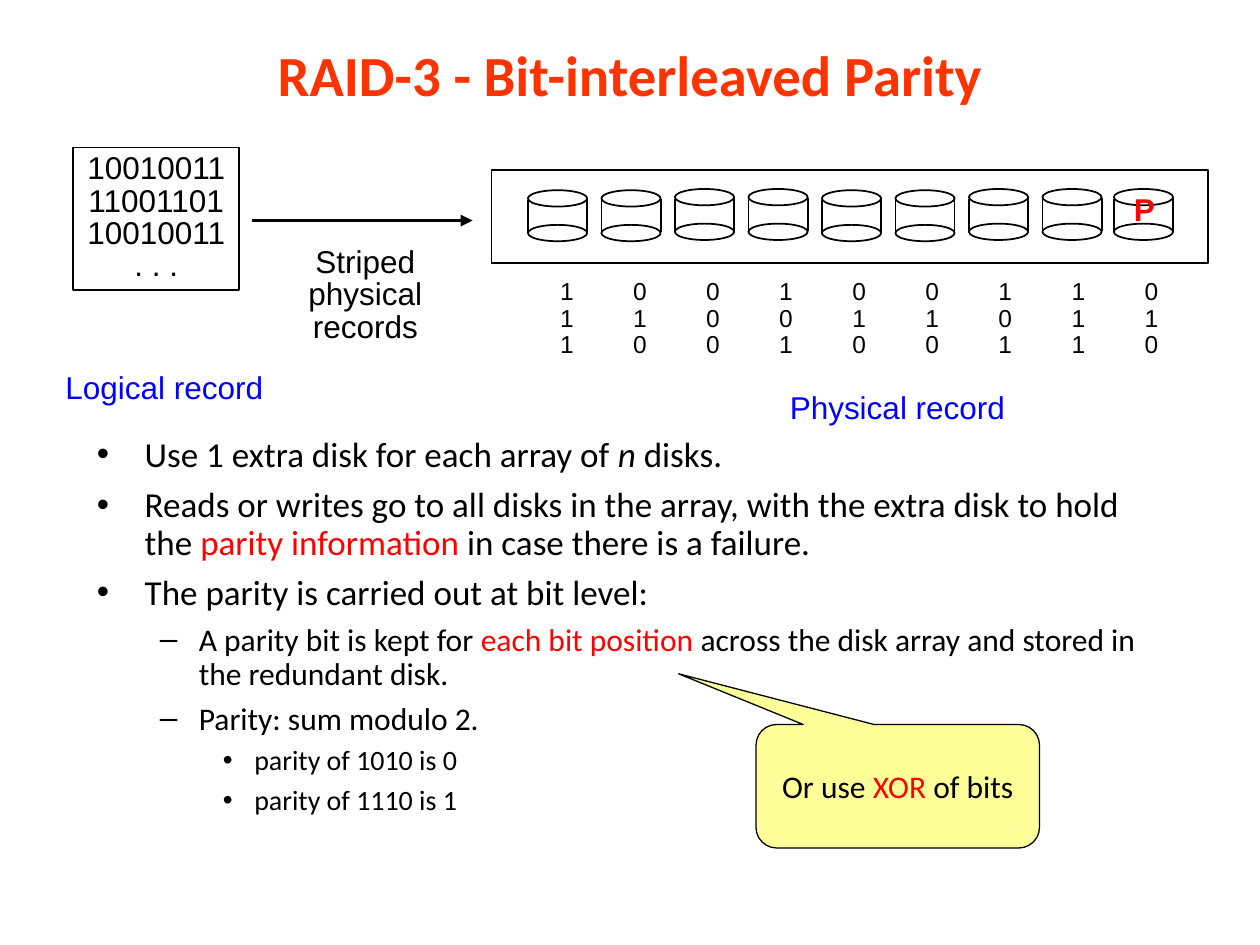
from lxml import etree
from pptx import Presentation
from pptx import util as u
from pptx.dml.color import RGBColor
from pptx.enum import shapes, text
from pptx.oxml.ns import qn

BLACK = RGBColor(0, 0, 0)
WHITE = RGBColor(255, 255, 255)
RED = RGBColor(255, 0, 0)
BLUE = RGBColor(0, 0, 255)
ORANGE = RGBColor(0xFF, 0x33, 0x00)
YELLOW = RGBColor(0xFF, 0xFF, 0x99)

LEFT, CENTER = text.PP_ALIGN.LEFT, text.PP_ALIGN.CENTER
TOP, MIDDLE = text.MSO_ANCHOR.TOP, text.MSO_ANCHOR.MIDDLE
# Bullet levels: mark, text size, text indent, hanging indent
LEVELS = [("•", 20, 0.38, 0.38), ("–", 18, 0.81, 0.31), ("•", 16, 1.25, 0.25)]


def write(frame, *lines, size=18, font="Arial", color=BLACK, bold=False,
          align=LEFT, spacing=1.0, levels=None, tabs=()):
    """Write lines; each is a string or a list of strings and (string, format) pairs."""
    for i, line in enumerate(lines):
        para = frame.paragraphs[0] if i == 0 else frame.add_paragraph()
        para.alignment, para.line_spacing = align, spacing
        props = para._p.get_or_add_pPr()
        line_size = size
        if levels:
            mark, line_size, indent, hang = LEVELS[levels[i]]
            para.level = levels[i]
            para.space_before = u.Pt(0.35 * line_size)
            props.set("marL", str(u.Inches(indent)))
            props.set("indent", str(-u.Inches(hang)))
            etree.SubElement(props, qn("a:buFont"), typeface="Arial")
            etree.SubElement(props, qn("a:buChar"), char=mark)
        if tabs:
            stops = etree.SubElement(props, qn("a:tabLst"))
            for stop in tabs:
                etree.SubElement(stops, qn("a:tab"), pos=str(u.Inches(stop)), algn="ctr")
        for part in [line] if isinstance(line, str) else line:
            words, changes = (part, {}) if isinstance(part, str) else part
            run = para.add_run()
            run.text = words
            run.font.name, run.font.size = font, u.Pt(line_size)
            run.font.bold = bold
            run.font.italic = changes.get("italic", False)
            run.font.color.rgb = changes.get("color", color)


class RaidSlide:
    line_color = BLACK
    line_width = 1

    def __init__(self, slide):
        self.shapes = slide.shapes

    def label(self, left, top, width, height, *lines, anchor=TOP, wrap=True,
              side=0.1, **style):
        box = self.shapes.add_textbox(*map(u.Inches, (left, top, width, height)))
        frame = box.text_frame
        frame.word_wrap, frame.vertical_anchor = wrap, anchor
        frame.margin_left = frame.margin_right = u.Inches(side)
        write(frame, *lines, **style)

    def outline(self, kind, left, top, width, height, fill=None, weight=None):
        shape = self.shapes.add_shape(kind, *map(u.Inches, (left, top, width, height)))
        shape.shadow.inherit = False
        if fill is None:
            shape.fill.background()
        else:
            shape.fill.solid()
            shape.fill.fore_color.rgb = fill
        shape.line.color.rgb = self.line_color
        shape.line.width = u.Pt(weight or self.line_width)
        shape.text_frame.vertical_anchor = MIDDLE
        return shape

    def line(self, x1, y1, x2, y2, weight=None, arrow=False):
        line = self.shapes.add_connector(shapes.MSO_CONNECTOR.STRAIGHT,
                                         *map(u.Inches, (x1, y1, x2, y2)))
        line.line.color.rgb = self.line_color
        line.line.width = u.Pt(weight or self.line_width)
        if arrow:
            etree.SubElement(line.line._get_or_add_ln(), qn("a:tailEnd"),
                             type="triangle", w="med", len="med")
        etree.SubElement(line._element.spPr, qn("a:effectLst"))

    def disk(self, left, top):
        for lid in (top, top + 0.275):
            self.outline(shapes.MSO_SHAPE.OVAL, left, lid, 0.47, 0.13, WHITE)
        self.line(left, top + 0.08, left, top + 0.34)
        self.line(left + 0.47, top + 0.07, left + 0.47, top + 0.33)


def main():
    prs = Presentation()
    prs.slide_width, prs.slide_height = u.Inches(10), u.Inches(7.5)
    raid = RaidSlide(prs.slides.add_slide(prs.slide_layouts[6]))

    # Title
    raid.label(0.75, 0.25, 8.5, 0.67, "RAID-3 - Bit-interleaved Parity", anchor=MIDDLE,
               size=32.4, font="Calibri", color=ORANGE, bold=True, align=CENTER)

    # Explanation
    raid.label(
        0.67, 3.42, 8.75, 3.25,
        ["Use 1 extra disk for each array of ", ("n", {"italic": True}), " disks."],
        ["Reads or writes go to all disks in the array, with the extra disk to hold the ",
         ("parity information", {"color": RED}), " in case there is a failure."],
        "The parity is carried out at bit level:",
        ["A parity bit is kept for ", ("each bit position", {"color": RED}),
         " across the disk array and stored in the redundant disk."],
        "Parity: sum modulo 2.",
        "parity of 1010 is 0",
        "parity of 1110 is 1",
        font="Calibri", spacing=0.9, levels=[0, 0, 0, 1, 1, 2, 2])

    # XOR callout
    callout = raid.outline(shapes.MSO_SHAPE.ROUNDED_RECTANGULAR_CALLOUT,
                           6, 5.75, 2.25, 0.98, YELLOW, 0.75)
    for i, value in enumerate((-0.773, -0.911, 0.167)):
        callout.adjustments[i] = value
    write(callout.text_frame, ["Or use ", ("XOR", {"color": RED}), " of bits"],
          font="Calibri", align=CENTER)

    # Logical record and striping arrow
    logical = raid.outline(shapes.MSO_SHAPE.RECTANGLE, 0.58, 1.17, 1.32, 1.13, WHITE)
    logical.text_frame.word_wrap = False
    write(logical.text_frame, "10010011", "11001101", "10010011", ". . .",
          align=CENTER, spacing=0.85)
    raid.label(0.42, 2.92, 1.92, 0.35, "Logical record", wrap=False,
               color=BLUE, spacing=0.85)
    raid.label(1.92, 1.92, 1.96, 0.61, "Striped physical", "records", side=0.4,
               align=CENTER, spacing=0.85)
    raid.line(2, 1.75, 3.75, 1.75, weight=2.25, arrow=True)

    # Disk array: eight data disks, staggered in pairs, and the parity disk
    raid.outline(shapes.MSO_SHAPE.RECTANGLE, 3.9, 1.35, 5.69, 0.74)
    for i in range(8):
        raid.disk(4.19 + i * 7 / 12, 1.51 if i % 4 < 2 else 1.5)
    raid.disk(8.84, 1.5)
    raid.label(8.9, 1.46, 0.37, 0.4, "P", wrap=False, color=RED, bold=True)

    # Bits on each disk, the last one being parity
    bit_rows = ("100100110", "110011011", "100100110")
    raid.label(4.08, 2.17, 5.42, 0.73, *("\t" + "\t".join(row) for row in bit_rows),
               size=14, spacing=0.9, tabs=[0.32 + 0.58 * i for i in range(9)])
    raid.label(6.17, 3.08, 2.06, 0.35, "Physical record", wrap=False,
               color=BLUE, spacing=0.85)

    prs.save("out.pptx")


if __name__ == "__main__":
    main()
